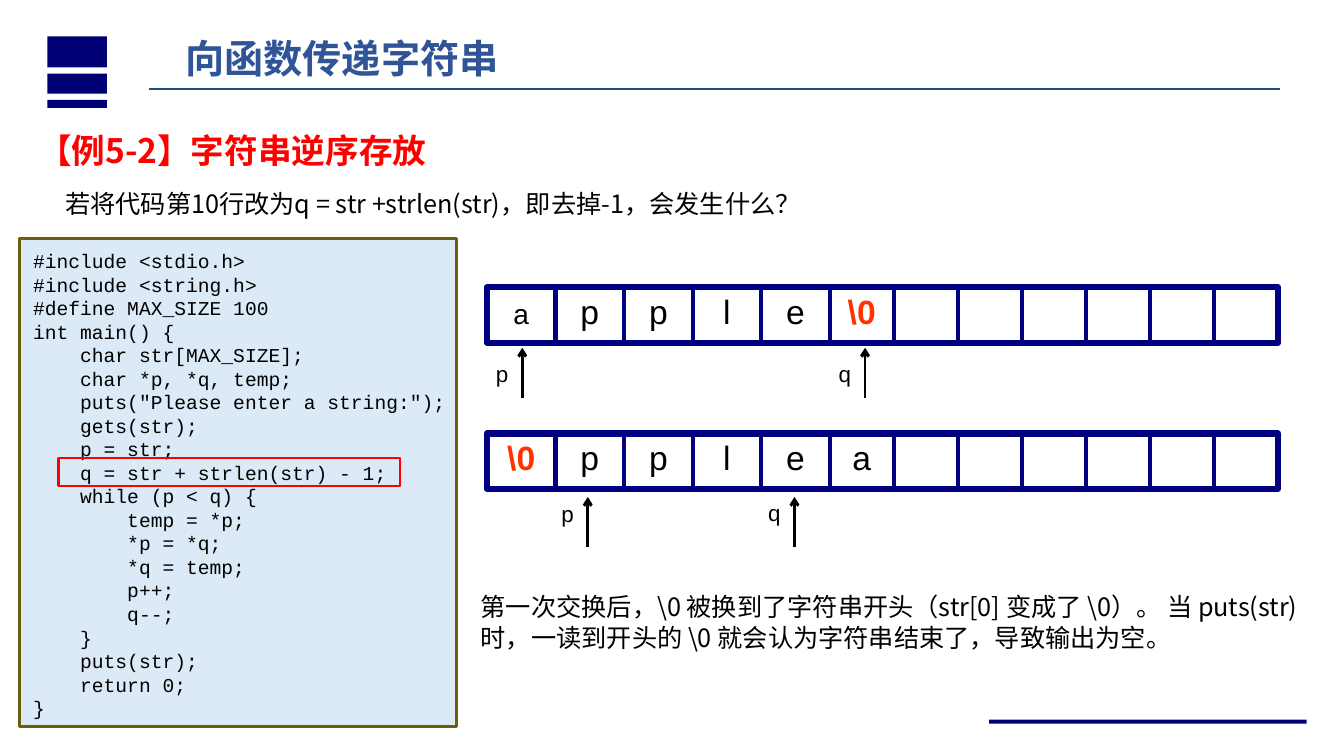
import pptx
import pptx.dml.color
import pptx.enum.shapes
import pptx.oxml
import pptx.oxml.ns
import pptx.util

Inches = pptx.util.Inches
Pt = pptx.util.Pt
WIDTH, HEIGHT = 13.33, 7.5
NAVY, BLACK, RED, ORANGE = "000080", "000000", "FF0000", "FF3300"
CHINESE, LATIN, MONO = "Noto Sans CJK SC", "Arial", "Courier New"
WIDE_CELLS, CELLS = 5, 12
WIDE, NARROW = 0.68, 0.635
CODE_LINE = 16.8
CODE = """#include <stdio.h>
#include <string.h>
#define MAX_SIZE 100
int main() {
    char str[MAX_SIZE];
    char *p, *q, temp;
    puts("Please enter a string:");
    gets(str);
    p = str;
    q = str + strlen(str) - 1;
    while (p < q) {
        temp = *p;
        *p = *q;
        *q = temp;
        p++;
        q--;
    }
    puts(str);
    return 0;
}"""


def color(value):
    """Turn a hex string into a colour."""
    return pptx.dml.color.RGBColor.from_string(value)


def add_xml(parent, tag, **attributes):
    """Append a drawing element with attributes and return it."""
    child = parent.makeelement(pptx.oxml.ns.qn(tag), attributes)
    parent.append(child)
    return child


def style_run(run, font, size, ink, bold=False):
    """Format one run for Latin and Chinese letters."""
    run.font.size = Pt(size)
    run.font.bold = bold
    run.font.color.rgb = color(ink)
    run.font.name = font
    add_xml(run._r.get_or_add_rPr(), "a:ea", typeface=font)


def add_rect(shapes, left, top, width, height, fill=None, line=None, weight=0):
    """Add a plain rectangle with optional fill and outline."""
    shape = shapes.add_shape(
        pptx.enum.shapes.MSO_SHAPE.RECTANGLE,
        Inches(left), Inches(top), Inches(width), Inches(height))
    shape.shadow.inherit = False
    if fill:
        shape.fill.solid()
        shape.fill.fore_color.rgb = color(fill)
    else:
        shape.fill.background()
    if line:
        shape.line.color.rgb = color(line)
        shape.line.width = Pt(weight)
    else:
        shape.line.fill.background()
    return shape


def add_line(shapes, start, end, ink, weight, arrow=False):
    """Add a straight line, with an arrowhead at its end if asked."""
    line = shapes.add_connector(
        pptx.enum.shapes.MSO_CONNECTOR.STRAIGHT,
        Inches(start[0]), Inches(start[1]), Inches(end[0]), Inches(end[1]))
    line.line.color.rgb = color(ink)
    line.line.width = Pt(weight)
    if arrow:
        add_xml(line.line._get_or_add_ln(), "a:tailEnd", type="arrow")
    add_xml(line._element.spPr, "a:effectLst")


def add_text(shapes, left, top, width, height, text, font, size, ink,
             bold=False, spacing=None):
    """Add a wrapped text box whose paragraphs share one style."""
    box = shapes.add_textbox(Inches(left), Inches(top), Inches(width), Inches(height))
    box.text_frame.word_wrap = True
    box.text_frame.text = text
    for para in box.text_frame.paragraphs:
        para.line_spacing = spacing or Pt(size * 1.2)
        for run in para.runs:
            style_run(run, font, size, ink, bold)
    return box


def add_header(page, left, top, width):
    """Place the stacked bars, the title and its rule."""
    for offset, height in ((0, 0.31), (0.37, 0.2), (0.63, 0.08)):
        add_rect(page.shapes, left, top + offset, 0.59, height, "000074")
    add_text(page.shapes, left + 1.27, top - 0.07, 5.49, 0.97,
             "向函数传递字符串", CHINESE, 28, "2F5597", True)
    rule = top + 0.52
    add_line(page.shapes, (left + 1.01, rule), (left + width, rule), "1F4E79", 1.25)


def add_question(page, left, top):
    """Place the example heading and the question under it."""
    add_text(page.shapes, left, top, 10.44, 0.58, "【例5-2】字符串逆序存放",
             CHINESE, 24, RED, True, 1.0)
    add_text(page.shapes, left + 0.27, top + 0.58, 8.2, 0.4,
             "若将代码第10行改为q = str +strlen(str)，即去掉-1，会发生什么？",
             CHINESE, 18, BLACK)


def add_code(page, left, top, width, height, marked):
    """Place the code panel and frame the marked line."""
    add_rect(page.shapes, left, top, width, height, "DCEAF7", "695F0C", 2)
    add_text(page.shapes, left + 0.04, top + 0.05, width + 0.1, height,
             CODE, MONO, 14, BLACK, spacing=Pt(CODE_LINE))
    offset = 0.07 + (marked - 1) * CODE_LINE / 72
    add_rect(page.shapes, left + 0.39, top + offset, 3.39, 0.28, line=RED, weight=1.5)


def cell_edge(index):
    """Give the distance from the strip's left side to a cell's left edge."""
    return min(index, WIDE_CELLS) * WIDE + max(index - WIDE_CELLS, 0) * NARROW


def add_array(page, left, top, letters, sizes):
    """Place a strip of memory cells with one letter centred per cell."""
    shapes = page.shapes.add_group_shape().shapes
    width, height = cell_edge(CELLS), 0.55
    add_rect(shapes, left, top, width, height, line=NAVY, weight=4.5)
    for index in range(1, CELLS):
        edge = left + cell_edge(index)
        add_line(shapes, (edge, top), (edge, top + height), NAVY, 3)
    box = shapes.add_textbox(Inches(left), Inches(top + 0.03), Inches(width), Inches(0.46))
    box.text_frame.word_wrap = True
    box.text_frame.margin_left = box.text_frame.margin_right = 0
    para = box.text_frame.paragraphs[0]
    para.line_spacing = 0.9
    stops = add_xml(para._p.get_or_add_pPr(), "a:tabLst")
    for index, (letter, size) in enumerate(zip(letters, sizes)):
        center = (cell_edge(index) + cell_edge(index + 1)) / 2
        add_xml(stops, "a:tab", pos=str(int(Inches(center))), algn="ctr")
        run = para.add_run()
        run.text = "\t" + letter
        ending = letter == "\\0"
        style_run(run, LATIN, size, ORANGE if ending else BLACK, ending)


def add_pointer(page, name, tip_x, tip_y, drop):
    """Place an upward arrow and the pointer's name to its left."""
    add_line(page.shapes, (tip_x, tip_y + 0.5), (tip_x, tip_y), BLACK, 2, True)
    add_text(page.shapes, tip_x - 0.36, tip_y + drop, 0.35, 0.34,
             name, LATIN, 16, BLACK, spacing=0.9)


def add_swap(page, left, top):
    """Place the array before and after the swap, with the explanation."""
    add_array(page, left, top, ["a", "p", "p", "l", "e", "\\0"], [20] + [24] * 5)
    add_array(page, left, top + 1.45, ["\\0", "p", "p", "l", "e", "a"], [24] * 6)
    for name, offset_x, offset_y, drop in (
            ("p", 0.35, 0.6, 0.1), ("q", 3.75, 0.6, 0.1),
            ("p", 1, 2.08, 0.01), ("q", 3.05, 2.08, 0)):
        add_pointer(page, name, left + offset_x, top + offset_y, drop)
    add_text(page.shapes, left - 0.16, top + 2.97, 8.38, 1.07,
             "第一次交换后，\\0 被换到了字符串开头（str[0] 变成了 \\0）。 当 "
             "puts(str)时，一读到开头的 \\0 就会认为字符串结束了，导致输出为空。",
             CHINESE, 18, BLACK)


def main():
    """Build the slide and save it."""
    deck = pptx.Presentation()
    deck.slide_width, deck.slide_height = Inches(WIDTH), Inches(HEIGHT)
    page = deck.slides.add_slide(deck.slide_layouts[6])
    add_header(page, 0.47, 0.36, 12.23)
    add_rect(page.shapes, 9.81, 7.14, 3.15, 0.04, "000074")
    add_question(page, 0.28, 1.24)
    add_swap(page, 4.83, 2.85)
    add_code(page, 0.19, 2.37, 4.34, 4.84, 10)
    deck.save("out.pptx")


if __name__ == "__main__":
    main()
